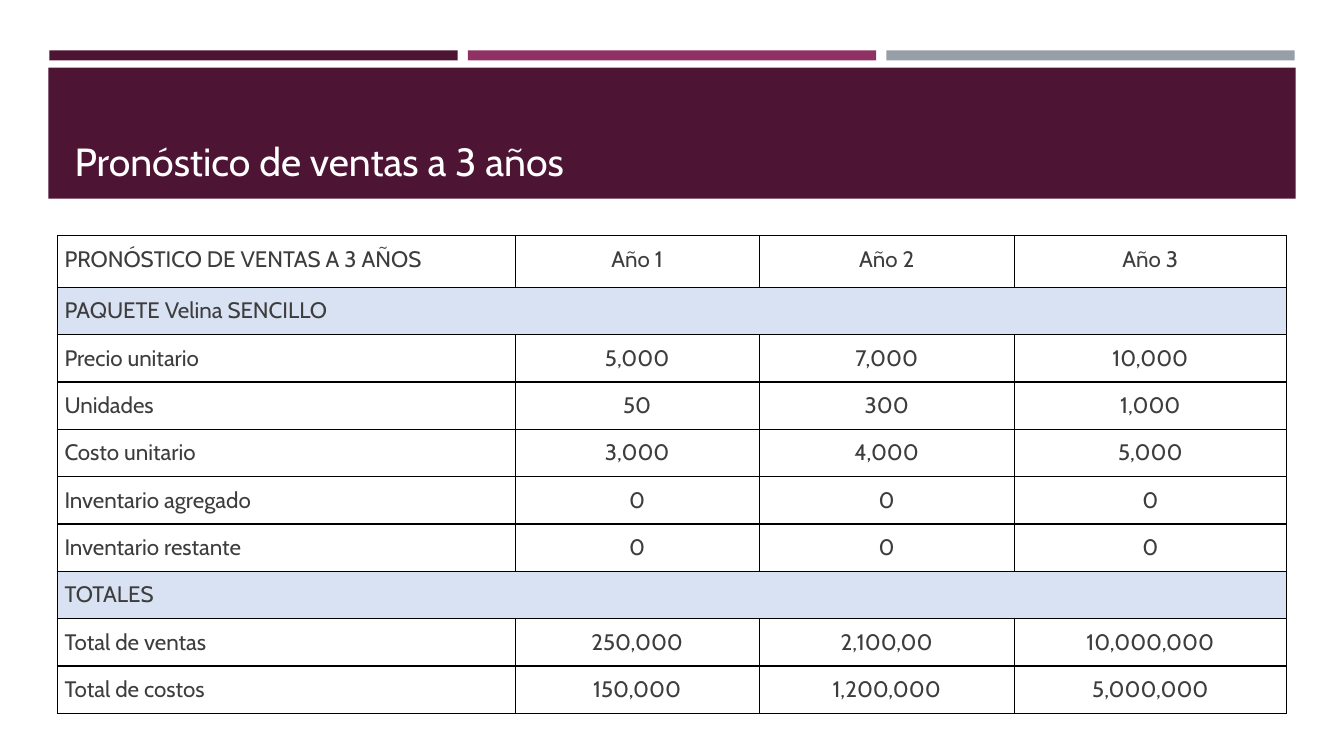
"""Build the three-year sales forecast slide."""
import dataclasses

import lxml.etree
import pptx
import pptx.dml.color
import pptx.enum.shapes
import pptx.enum.text
import pptx.oxml.ns
import pptx.presentation
import pptx.slide
import pptx.table
import pptx.util

Inches = pptx.util.Inches
RGBColor = pptx.dml.color.RGBColor
ALIGN = pptx.enum.text.PP_ALIGN
ANCHOR = pptx.enum.text.MSO_ANCHOR

PLUM = RGBColor(0x4D, 0x14, 0x34)
MAGENTA = RGBColor(0x90, 0x31, 0x63)
GRAY = RGBColor(0x96, 0x9F, 0xA7)
WHITE = RGBColor(0xFF, 0xFF, 0xFF)
INK = RGBColor(0x3D, 0x3D, 0x3D)
PALE_BLUE = RGBColor(0xD9, 0xE2, 0xF3)
BLACK = RGBColor(0x00, 0x00, 0x00)
FONT = "Cabin"


@dataclasses.dataclass(frozen=True)
class Band:
    left: float
    top: float
    width: float
    height: float
    color: RGBColor


@dataclasses.dataclass(frozen=True)
class ForecastRow:
    label: str
    years: tuple[str, ...] = ()


BANDS = [
    Band(0.49 + 4.15 * i, 0.5, 4.05, 0.1, color)
    for i, color in enumerate((PLUM, MAGENTA, GRAY))
] + [Band(0.48, 0.67, 12.37, 1.3, PLUM)]

FORECAST = [
    ForecastRow("PRONÓSTICO DE VENTAS A 3 AÑOS", ("Año 1", "Año 2", "Año 3")),
    ForecastRow("PAQUETE Velina SENCILLO"),
    ForecastRow("Precio unitario", ("5,000", "7,000", "10,000")),
    ForecastRow("Unidades", ("50", "300", "1,000")),
    ForecastRow("Costo unitario", ("3,000", "4,000", "5,000")),
    ForecastRow("Inventario agregado", ("0", "0", "0")),
    ForecastRow("Inventario restante", ("0", "0", "0")),
    ForecastRow("TOTALES"),
    ForecastRow("Total de ventas", ("250,000", "2,100,00", "10,000,000")),
    ForecastRow("Total de costos", ("150,000", "1,200,000", "5,000,000")),
]
COLUMN_WIDTHS = (4.54, 2.42, 2.53, 2.7)
HEADER_HEIGHT = 0.51
ROW_HEIGHT = 0.47


def draw_band(slide: pptx.slide.Slide, band: Band) -> None:
    """Draw one flat band of the header."""
    bar = slide.shapes.add_shape(
        pptx.enum.shapes.MSO_SHAPE.RECTANGLE,
        Inches(band.left), Inches(band.top), Inches(band.width), Inches(band.height),
    )
    bar.shadow.inherit = False
    bar.fill.solid()
    bar.fill.fore_color.rgb = band.color
    bar.line.fill.background()


def format_text(paragraph, size: int, color: RGBColor, alignment: ALIGN) -> None:
    """Align a paragraph and set the font of its runs."""
    paragraph.alignment = alignment
    for run in paragraph.runs:
        run.font.name = FONT
        run.font.size = pptx.util.Pt(size)
        run.font.color.rgb = color


def draw_title(slide: pptx.slide.Slide) -> None:
    """Fill the title placeholder and bring it in front of the bands."""
    heading = slide.shapes.title
    heading.left, heading.top = Inches(0.64), Inches(0.77)
    heading.width, heading.height = Inches(12.06), Inches(1.11)
    frame = heading.text_frame
    frame.text = "Pronóstico de ventas a 3 años"
    frame.word_wrap = True
    frame.auto_size = pptx.enum.text.MSO_AUTO_SIZE.NONE
    frame.vertical_anchor = ANCHOR.BOTTOM
    format_text(frame.paragraphs[0], 28, WHITE, ALIGN.LEFT)
    slide.shapes.element.append(heading.element)


def add_borders(cell: pptx.table._Cell) -> None:
    """Put a thin black line on each side of a cell."""
    properties = cell._tc.get_or_add_tcPr()
    qn = pptx.oxml.ns.qn
    for position, side in enumerate(("a:lnL", "a:lnR", "a:lnT", "a:lnB")):
        line = lxml.etree.Element(qn(side), w=str(pptx.util.Pt(1)))
        fill = lxml.etree.SubElement(line, qn("a:solidFill"))
        lxml.etree.SubElement(fill, qn("a:srgbClr"), val=str(BLACK))
        properties.insert(position, line)


def format_cell(cell: pptx.table._Cell, alignment: ALIGN, is_section: bool) -> None:
    """Set the margins, text, fill and borders of a cell."""
    cell.margin_left = cell.margin_right = Inches(0.07)
    cell.margin_top = cell.margin_bottom = Inches(0.1)
    cell.vertical_anchor = ANCHOR.TOP
    format_text(cell.text_frame.paragraphs[0], 16, INK, alignment)
    if is_section:
        cell.fill.solid()
        cell.fill.fore_color.rgb = PALE_BLUE
    else:
        cell.fill.background()
    add_borders(cell)


def draw_forecast(slide: pptx.slide.Slide) -> None:
    """Draw the forecast table, with section rows spanning all columns."""
    heights = [HEADER_HEIGHT] + [ROW_HEIGHT] * (len(FORECAST) - 1)
    forecast = slide.shapes.add_table(
        len(FORECAST), len(COLUMN_WIDTHS), Inches(0.57), Inches(2.34),
        Inches(sum(COLUMN_WIDTHS)), Inches(sum(heights)),
    ).table
    forecast.first_row = forecast.horz_banding = False
    for column, width in zip(forecast.columns, COLUMN_WIDTHS):
        column.width = Inches(width)
    for r, (entry, height) in enumerate(zip(FORECAST, heights)):
        forecast.rows[r].height = Inches(height)
        for c, text in enumerate((entry.label, *entry.years)):
            forecast.cell(r, c).text_frame.text = text
        for c in range(len(COLUMN_WIDTHS)):
            alignment = ALIGN.CENTER if c else ALIGN.JUSTIFY
            format_cell(forecast.cell(r, c), alignment, not entry.years)
        if not entry.years:
            forecast.cell(r, 0).merge(forecast.cell(r, len(COLUMN_WIDTHS) - 1))


def main() -> None:
    """Build and save the presentation."""
    deck = pptx.Presentation()
    deck.slide_width, deck.slide_height = Inches(13.33), Inches(7.5)
    slide = deck.slides.add_slide(deck.slide_layouts.get_by_name("Title Only"))
    for band in BANDS:
        draw_band(slide, band)
    draw_title(slide)
    draw_forecast(slide)
    deck.save("out.pptx")


if __name__ == "__main__":
    main()
